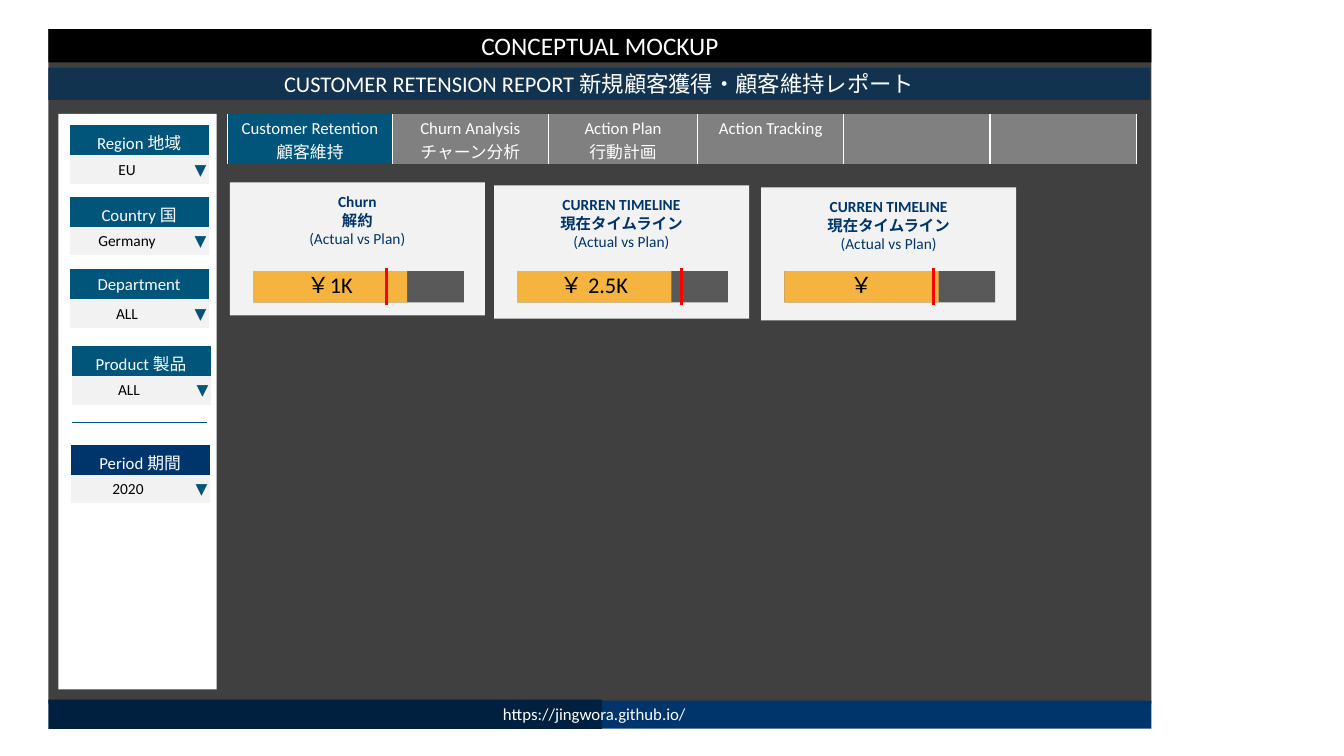
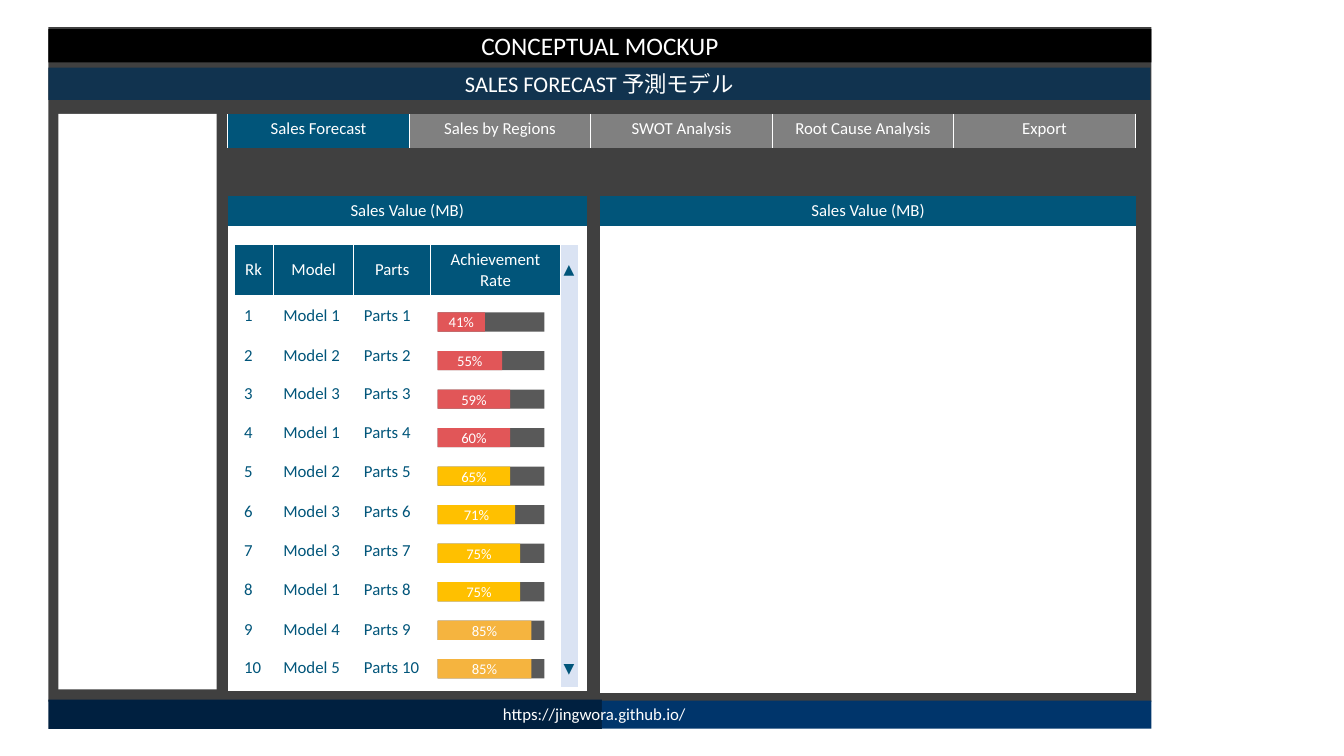
import pptx
from lxml import etree
from pptx.dml.color import RGBColor
from pptx.enum.shapes import MSO_CONNECTOR, MSO_SHAPE
from pptx.enum.text import MSO_ANCHOR, PP_ALIGN
from pptx.oxml.ns import qn
from pptx.util import Inches, Pt


class Theme:
    font = "Calibri"
    white, black, backdrop = "FFFFFF", "000000", "404040"
    title_band, footer_dark, navy, teal = "11334F", "002040", "00356B", "01557A"
    tab, pale, track, scroll = "808080", "F2F2F2", "595959", "DAE3F3"
    orange, yellow, coral, red = "F5B43F", "FFC000", "E15658", "FF0000"
    banner_size, title_size, label_size = 18, 16, 12
    value_size, rate_size, arrow_size = 11, 10.5, 10
    no_grid_style = "{2D5ABB26-0587-4C30-8999-92F81FD0307C}"


BANNER = "CONCEPTUAL MOCKUP"
FOOTER = "https://jingwora.github.io/"
CONTENT_LEFT = 2.26
TABS_TOP = 1.13

RETENTION = {
    "title": "CUSTOMER RETENSION REPORT 新規顧客獲得・顧客維持レポート",
    "backdrop_top": 0.29,
    "tab_height": 0.5,
    "tabs": [
        ("Customer Retention\n顧客維持", 1.63),
        ("Churn Analysis\nチャーン分析", 1.55),
        ("Action Plan\n行動計画", 1.48),
        ("Action Tracking", 1.45),
        ("", 1.45),
        ("", 1.45),
    ],
}
FORECAST = {
    "title": "SALES FORECAST 予測モデル",
    "backdrop_top": 0.27,
    "tab_height": 0.34,
    "tabs": [(name, 1.8) for name in (
        "Sales Forecast", "Sales by Regions", "SWOT Analysis",
        "Root Cause Analysis", "Export")],
}

# label, value, left, top, header colour
FILTERS = [
    ("Region 地域", "EU", 0.69, 1.24, Theme.teal),
    ("Country 国", "Germany", 0.69, 1.95, Theme.teal),
    ("Department", "ALL", 0.69, 2.67, Theme.teal),
    ("Product 製品", "ALL", 0.71, 3.43, Theme.teal),
    ("Period 期間", "2020", 0.7, 4.41, Theme.navy),
]

TIMELINE = "CURREN TIMELINE\n現在タイムライン\n(Actual vs Plan)"
# text, amount, left, top, horizontal place of the plan marker
CARDS = [
    ("Churn\n解約\n(Actual vs Plan)", "￥1K", 2.28, 1.81, 3.83),
    (TIMELINE, "￥ 2.5K", 4.9, 1.84, 6.76),
    (TIMELINE, "￥", 7.55, 1.86, 9.26),
]

PANEL_TITLE = "Sales Value (MB)"
# left, width, height of the body
PANELS = [(5.95, 5.32, 4.63), (CONTENT_LEFT, 3.56, 4.61)]

RANKING_HEADER = ["Rk", "Model", "Parts", "Achievement Rate", "▲"]
RANKING_COLUMNS = [0.39, 0.8, 0.76, 1.29, 0.17]
RANKING_ROWS = [0.47, 0.41, 0.38, 0.38, 0.38, 0.41, 0.38, 0.38, 0.41, 0.38, 0.38]
# model, rate, width of the bar, colour
RANKING = [
    ("Model 1", "41%", 0.47, Theme.coral),
    ("Model 2", "55%", 0.64, Theme.coral),
    ("Model 3", "59%", 0.72, Theme.coral),
    ("Model 1", "60%", 0.72, Theme.coral),
    ("Model 2", "65%", 0.72, Theme.yellow),
    ("Model 3", "71%", 0.77, Theme.yellow),
    ("Model 3", "75%", 0.82, Theme.yellow),
    ("Model 1", "75%", 0.82, Theme.yellow),
    ("Model 4", "85%", 0.93, Theme.orange),
    ("Model 5", "85%", 0.93, Theme.orange),
]
FIRST_BAR_TOP, LAST_BAR_TOP = 3.1, 6.54


def write_text(frame, text, size=Theme.label_size, color=Theme.white,
               align=PP_ALIGN.CENTER, bold_lines=0):
    """Write one paragraph per line; the first bold_lines of them are bold."""
    for index, line in enumerate(text.split("\n")):
        paragraph = frame.paragraphs[0] if index == 0 else frame.add_paragraph()
        paragraph.alignment = align
        if not line:
            etree.SubElement(paragraph._p, qn("a:endParaRPr"), sz=str(int(size * 100)))
            continue
        run = paragraph.add_run()
        run.text = line
        run.font.name = Theme.font
        run.font.size = Pt(size)
        run.font.bold = index < bold_lines
        run.font.color.rgb = RGBColor.from_string(color)


def add_box(shapes, left, top, width, height, fill, text="", inset=0.1,
            anchor=MSO_ANCHOR.MIDDLE, **text_format):
    shape = shapes.add_shape(MSO_SHAPE.RECTANGLE, Inches(left), Inches(top),
                             Inches(width), Inches(height))
    shape.shadow.inherit = False
    shape.fill.solid()
    shape.fill.fore_color.rgb = RGBColor.from_string(fill)
    shape.line.fill.background()
    if text:
        frame = shape.text_frame
        frame.word_wrap = False
        frame.vertical_anchor = anchor
        frame.margin_left = frame.margin_right = Inches(inset)
        frame.margin_top = frame.margin_bottom = Inches(inset)
        write_text(frame, text, **text_format)


def add_line(slide, start, end, color, width):
    line = slide.shapes.add_connector(MSO_CONNECTOR.STRAIGHT,
                                      *[Inches(value) for value in (*start, *end)])
    line.line.color.rgb = RGBColor.from_string(color)
    line.line.width = Pt(width)
    etree.SubElement(line._element.spPr, qn("a:effectLst"))


def add_bar(slide, left, top, track_width, bar_width, height, fill, text, **text_format):
    """Group a dark track with a labelled bar over its left part."""
    shapes = slide.shapes.add_group_shape().shapes
    add_box(shapes, left, top, track_width, height, Theme.track)
    add_box(shapes, left, top, bar_width, height, fill, text, inset=0, **text_format)


def add_table(slide, left, top, columns, rows):
    frame = slide.shapes.add_table(len(rows), len(columns), Inches(left), Inches(top),
                                   Inches(sum(columns)), Inches(sum(rows)))
    table = frame.table
    table.first_row = table.horz_banding = False
    table._tbl.tblPr.find(qn("a:tableStyleId")).text = Theme.no_grid_style
    for column, width in zip(table.columns, columns):
        column.width = Inches(width)
    for row, height in zip(table.rows, rows):
        row.height = Inches(height)
    return table


def fill_cell(cell, text, fill, anchor=MSO_ANCHOR.TOP, edges=(), margins=None, **text_format):
    """Format a cell; edges names its white borders, such as lnL and lnR."""
    properties = cell._tc.get_or_add_tcPr()
    for edge in edges:
        border = etree.SubElement(properties, qn("a:" + edge), w=str(Pt(1)))
        solid = etree.SubElement(border, qn("a:solidFill"))
        etree.SubElement(solid, qn("a:srgbClr"), val=Theme.white)
    cell.fill.solid()
    cell.fill.fore_color.rgb = RGBColor.from_string(fill)
    cell.vertical_anchor = anchor
    if margins is not None:
        cell.margin_left, cell.margin_right, cell.margin_top, cell.margin_bottom = [
            Inches(margin) for margin in margins]
    write_text(cell.text_frame, text, **text_format)


def add_page(presentation, page):
    """Add a slide with the bands, sidebar, footer and tabs that all pages share."""
    slide = presentation.slides.add_slide(presentation.slide_layouts[6])
    shapes = slide.shapes
    add_box(shapes, 0.48, page["backdrop_top"], 10.94, 6.69, Theme.backdrop)
    add_box(shapes, 0.48, 0.67, 10.93, 0.32, Theme.title_band, page["title"],
            size=Theme.title_size)
    add_box(shapes, 0.48, 6.94, 5.49, 0.29, Theme.footer_dark)
    add_box(shapes, 5.97, 6.95, 5.45, 0.28, Theme.navy)
    footer = shapes.add_textbox(Inches(4.15), Inches(6.99), Inches(3.49), Inches(0.18))
    footer.text_frame.word_wrap = True
    footer.text_frame.vertical_anchor = MSO_ANCHOR.MIDDLE
    write_text(footer.text_frame, FOOTER)
    add_box(shapes, 0.48, 0.29, 10.94, 0.33, Theme.black, BANNER, size=Theme.banner_size)
    add_box(shapes, 0.58, 1.13, 1.57, 5.71, Theme.white)

    tabs = page["tabs"]
    table = add_table(slide, CONTENT_LEFT, TABS_TOP, [width for _, width in tabs],
                      [page["tab_height"]])
    for index, (name, _) in enumerate(tabs):
        fill_cell(table.cell(0, index), name, Theme.tab if index else Theme.teal,
                  edges=("lnL", "lnR"))
    return slide


def add_filter(slide, label, value, left, top, fill):
    table = add_table(slide, left, top, [1.14, 0.23], [0.26, 0.26])
    table.cell(0, 0).merge(table.cell(0, 1))
    fill_cell(table.cell(0, 0), label, fill)
    for column, (text, color) in enumerate([(value, Theme.black), ("▼", Theme.teal)]):
        fill_cell(table.cell(1, column), text, Theme.pale,
                  size=Theme.value_size, color=color)


def add_card(slide, text, amount, left, top):
    add_box(slide.shapes, left, top, 2.53, 1.32, Theme.pale, text, anchor=MSO_ANCHOR.TOP,
            size=Theme.value_size, color=Theme.navy, bold_lines=2)
    add_bar(slide, left + 0.23, 2.69, 2.09, 1.53, 0.31, Theme.orange, amount,
            anchor=MSO_ANCHOR.TOP, size=Theme.title_size, color=Theme.black)


def add_panel(slide, left, width, body_height):
    table = add_table(slide, left, 1.94, [width], [0.28, body_height])
    fill_cell(table.cell(0, 0), PANEL_TITLE, Theme.teal, anchor=MSO_ANCHOR.MIDDLE)
    fill_cell(table.cell(1, 0), "", Theme.white)


def add_ranking(slide):
    table = add_table(slide, 2.32, 2.43, RANKING_COLUMNS, RANKING_ROWS)
    rows = [RANKING_HEADER]
    for rank, (model, *_) in enumerate(RANKING, 1):
        rows.append([str(rank), model, f"Parts {rank}", "",
                     "▼" if rank == len(RANKING) else ""])
    for row, texts in enumerate(rows):
        for column, text in enumerate(texts):
            cell = table.cell(row, column)
            edges = () if row else ("lnL", "lnR")
            if column == len(texts) - 1:
                fill_cell(cell, text, Theme.scroll, anchor=MSO_ANCHOR.MIDDLE, edges=edges[:1],
                          margins=(0, 0, 0, 0), size=Theme.arrow_size, color=Theme.teal)
            elif row == 0:
                fill_cell(cell, text, Theme.teal, anchor=MSO_ANCHOR.MIDDLE, edges=edges)
            else:
                fill_cell(cell, text, Theme.white, anchor=MSO_ANCHOR.MIDDLE,
                          margins=(0.1, 0, 0.05, 0.05), color=Theme.teal,
                          align=PP_ALIGN.LEFT)

    step = (LAST_BAR_TOP - FIRST_BAR_TOP) / (len(RANKING) - 1)
    for index, (_, rate, width, fill) in enumerate(RANKING):
        add_bar(slide, 4.34, FIRST_BAR_TOP + index * step, 1.06, width, 0.19, fill, rate,
                size=Theme.rate_size)


def build_retention(presentation):
    slide = add_page(presentation, RETENTION)
    for entry in FILTERS:
        add_filter(slide, *entry)
    add_line(slide, (0.71, 4.19), (2.05, 4.19), Theme.teal, 1)
    for *card, marker in CARDS:
        add_card(slide, *card)
        add_line(slide, (marker, 2.66), (marker, 3.03), Theme.red, 2.25)


def build_forecast(presentation):
    slide = add_page(presentation, FORECAST)
    for panel in PANELS:
        add_panel(slide, *panel)
    add_ranking(slide)


def main():
    presentation = pptx.Presentation()
    presentation.slide_width = Inches(13.33)
    presentation.slide_height = Inches(7.5)
    build_retention(presentation)
    build_forecast(presentation)
    presentation.save("out.pptx")


if __name__ == "__main__":
    main()
